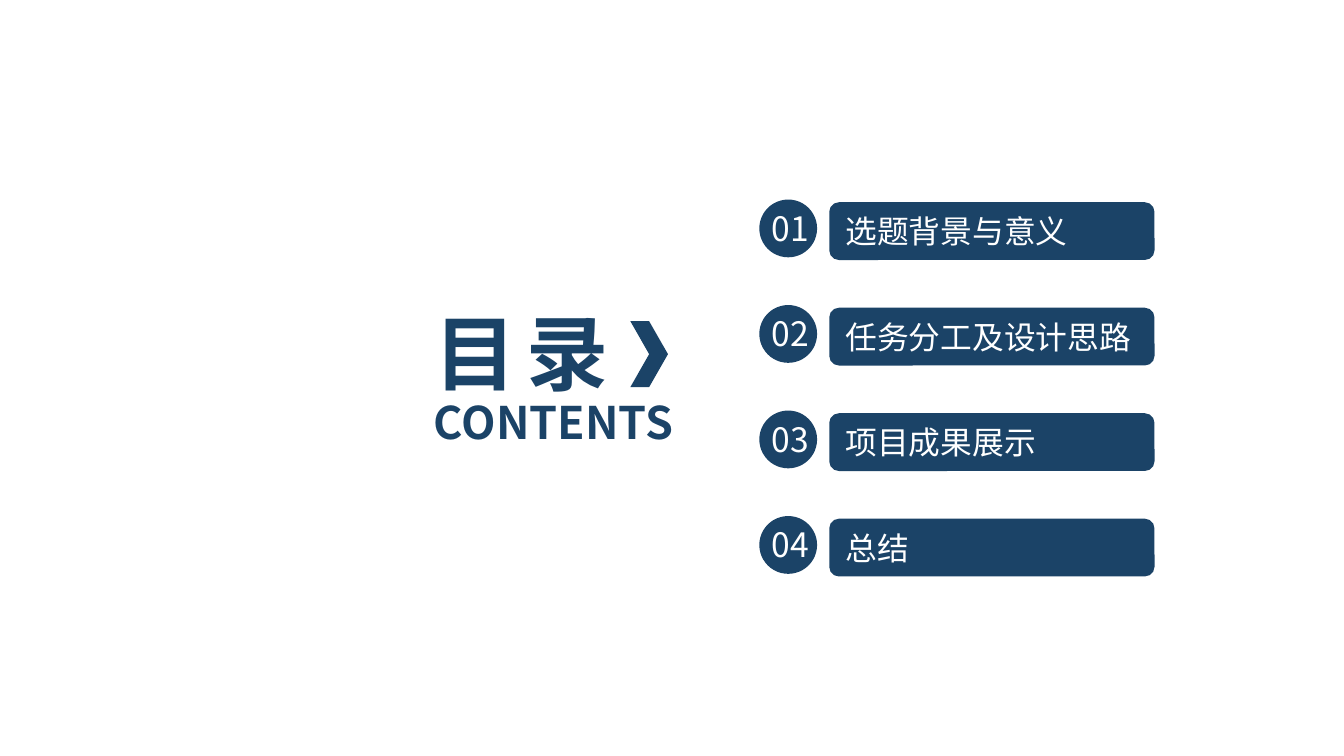
from lxml import etree
from pptx import Presentation
from pptx.dml.color import RGBColor
from pptx.enum.shapes import MSO_SHAPE
from pptx.enum.text import MSO_ANCHOR, MSO_AUTO_SIZE, PP_ALIGN
from pptx.oxml.ns import qn
from pptx.util import Inches, Pt

ROUNDED, OVAL, CHEVRON = MSO_SHAPE.ROUNDED_RECTANGLE, MSO_SHAPE.OVAL, MSO_SHAPE.CHEVRON
MIDDLE = MSO_ANCHOR.MIDDLE
NO_AUTOFIT = MSO_AUTO_SIZE.NONE
LEFT, CENTER = PP_ALIGN.LEFT, PP_ALIGN.CENTER
COLORS = {"navy": "1B4367", "white": "FFFFFF"}
FONT = "Noto Sans CJK SC"
SLIDE_WIDTH = Inches(10)
SLIDE_HEIGHT = SLIDE_WIDTH * 9 // 16
TOPICS = ["选题背景与意义", "任务分工及设计思路", "项目成果展示", "总结"]
ROW_PITCH = 0.785


def color(name):
    return RGBColor.from_string(COLORS[name])


def write(shape, text, size, color_name, align=LEFT, bold=False, spacing=None):
    frame = shape.text_frame
    frame.word_wrap = True
    frame.auto_size = NO_AUTOFIT
    frame.vertical_anchor = MIDDLE
    frame.margin_left = frame.margin_right = Inches(0.1)
    frame.margin_top = frame.margin_bottom = 0
    paragraph = frame.paragraphs[0]
    paragraph.alignment = align
    run = paragraph.add_run()
    run.text = text
    run.font.size = Pt(size)
    run.font.bold = bold
    run.font.name = FONT
    run.font.color.rgb = color(color_name)
    properties = run.font._element
    east_asian = etree.Element(qn("a:ea"), typeface=FONT)
    properties.find(qn("a:latin")).addnext(east_asian)
    if spacing is not None:
        properties.set("spc", str(round(spacing * 100)))


def add_navy_shape(shapes, kind, left, top, width, height):
    shape = shapes.add_shape(kind, Inches(left), Inches(top), Inches(width), Inches(height))
    shape.shadow.inherit = False
    shape.fill.solid()
    shape.fill.fore_color.rgb = color("navy")
    shape.line.fill.background()
    return shape


def add_label(shapes, left, top, width, height, text, size, color_name, **style):
    box = shapes.add_textbox(Inches(left), Inches(top), Inches(width), Inches(height))
    write(box, text, size, color_name, **style)


def add_heading(slide, left, top):
    title = slide.shapes.title
    title.left, title.top = Inches(left), Inches(top)
    title.width, title.height = Inches(2.35), Inches(0.84)
    write(title, "目 录", 44, "navy", bold=True, spacing=-2.2)
    add_label(slide.shapes, left, top + 0.69, 2.31, 0.5, "CONTENTS", 24, "navy", bold=True)
    add_navy_shape(slide.shapes, CHEVRON, left + 1.56, top + 0.19, 0.28, 0.49)


def add_topic(slide, left, top, number, topic):
    """Numbered badge followed by the bar that names the topic."""
    bar = add_navy_shape(slide.shapes, ROUNDED, left + 0.55, top + 0.02, 2.42, 0.43)
    write(bar, topic, 17, "white")
    badge = slide.shapes.add_group_shape()
    add_navy_shape(badge.shapes, OVAL, left + 0.03, top, 0.43, 0.43)
    add_label(badge.shapes, left, top + 0.01, 0.52, 0.4, f"{number:02d}", 18, "white", align=CENTER)


def main():
    presentation = Presentation()
    presentation.slide_width, presentation.slide_height = SLIDE_WIDTH, SLIDE_HEIGHT
    slide = presentation.slides.add_slide(presentation.slide_layouts[5])
    add_heading(slide, 3.13, 2.2)
    for index, topic in enumerate(TOPICS):
        add_topic(slide, 5.62, 1.485 + index * ROW_PITCH, index + 1, topic)
    presentation.save("out.pptx")


if __name__ == "__main__":
    main()
